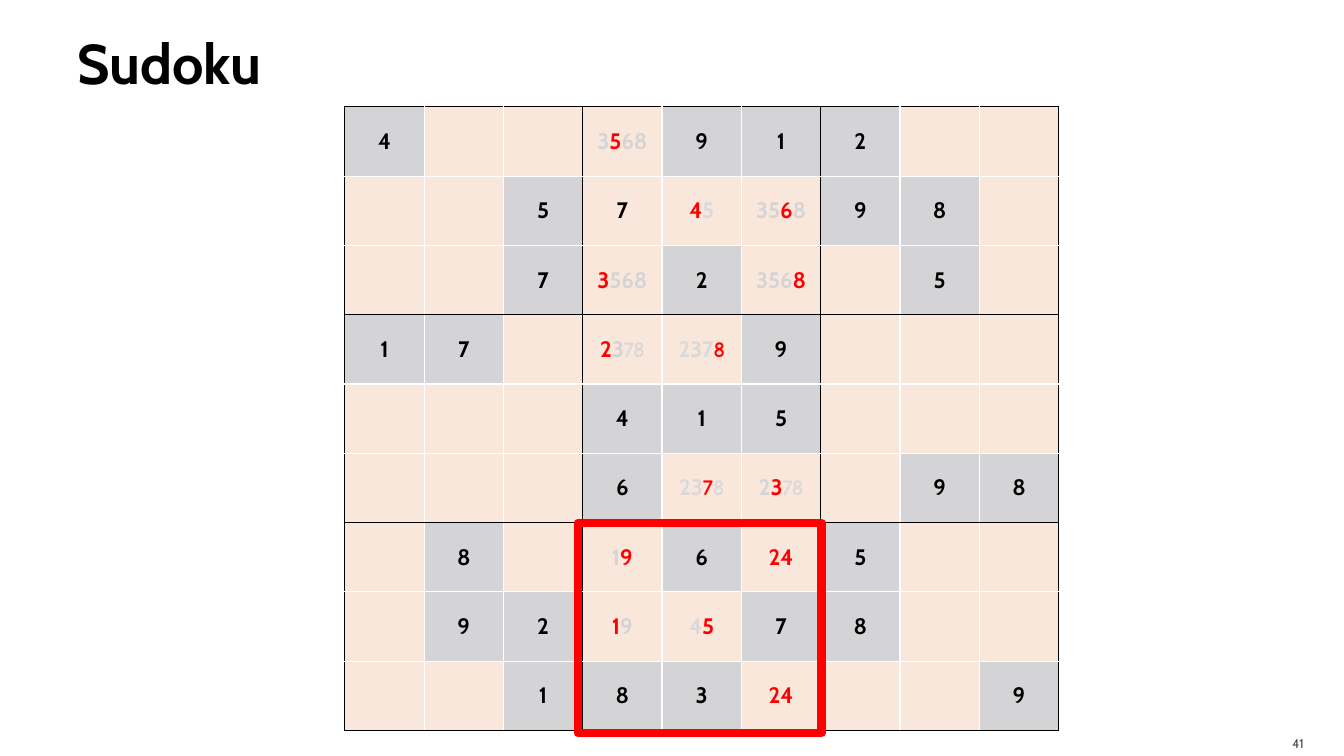
from dataclasses import dataclass
from lxml.etree import SubElement
from pptx import Presentation
from pptx.dml.color import RGBColor
from pptx.enum.shapes import MSO_SHAPE
from pptx.enum.text import MSO_ANCHOR, PP_ALIGN
from pptx.oxml.ns import qn
from pptx.util import Inches, Pt


@dataclass(frozen=True)
class Theme:
    """Hold the colours, fonts and type sizes; digits marked ! are red, ~ pale, = solved, * in the note font."""
    ink: str = "000000"
    white: str = "FFFFFF"
    muted: str = "454545"
    red: str = "FF0000"
    faint: str = "D4D4D6"
    pale: str = "D9D9D9"
    given_fill: str = "D4D4D6"
    open_fill: str = "FAE7DC"
    font: str = "Cabin"
    note_font: str = "Comic Neue"
    title_size: int = 40
    digit_size: int = 16
    number_size: int = 9
    rule_width: int = 1
    frame_width: int = 6


BLOCK = 3
PUZZLE = [
    "4 . . 3|!5|68 9 1 2 . .",
    ". . 5 =7 !4|~5 35|!6|8 9 8 .",
    ". . 7 !3|568 2 356|!8 . 5 .",
    "1 7 . !2|3|*~78 ~237|*!8 9 . . .",
    ". . . 4 1 5 . . .",
    ". . . 6 ~23|*!7|*~8 2|!3|*~78 . 9 8",
    ". 8 . 1|!9 6 !24 5 . .",
    ". 9 2 !1|9 ~4|!5 7 8 . .",
    ". . 1 8 3 !24 . . 9",
]


class SudokuSlide:
    """Draw the elements of one slide in one style."""

    def __init__(self, slide, theme):
        """Keep the slide and its theme."""
        self.slide = slide
        self.theme = theme

    def style(self, font, size, color, bold=False, name=None):
        """Set the look of a font."""
        font.name = name or self.theme.font
        font.size = Pt(size)
        font.bold = bold
        font.color.rgb = RGBColor.from_string(color)

    def text(self, box, words, size, color, bold=False, align=PP_ALIGN.LEFT,
             right_inset=0.1, bottom_inset=0.0):
        """Add one line of text centred vertically in a box."""
        frame = self.slide.shapes.add_textbox(*map(Inches, box)).text_frame
        frame.word_wrap = True
        frame.vertical_anchor = MSO_ANCHOR.MIDDLE
        frame.margin_right = Inches(right_inset)
        frame.margin_bottom = Inches(bottom_inset)
        paragraph = frame.paragraphs[0]
        paragraph.text = words
        paragraph.alignment = align
        self.style(paragraph.font, size, color, bold)

    def borders(self, cell, row, column):
        """Rule a cell in black along block edges and in white elsewhere."""
        block_edges = {
            "L": column % BLOCK == 0,
            "R": column % BLOCK == BLOCK - 1,
            "T": row % BLOCK == 0,
            "B": row % BLOCK == BLOCK - 1,
        }
        properties = cell._tc.get_or_add_tcPr()
        for side, on_edge in block_edges.items():
            line = SubElement(properties, qn(f"a:ln{side}"), w=str(Pt(self.theme.rule_width)))
            fill = SubElement(line, qn("a:solidFill"))
            SubElement(fill, qn("a:srgbClr"), val=self.theme.ink if on_edge else self.theme.white)

    def digits(self, cell, marked):
        """Write the digits of a cell, one run for each marked part."""
        theme = self.theme
        colors = {"!": theme.red, "~": theme.pale, "=": theme.ink}
        plain = theme.ink if marked.isdigit() else theme.faint
        cell.vertical_anchor = MSO_ANCHOR.MIDDLE
        paragraph = cell.text_frame.paragraphs[0]
        paragraph.alignment = PP_ALIGN.CENTER
        for part in marked.split("|"):
            run = paragraph.add_run()
            run.text = part.lstrip("*!~=")
            color = next((colors[mark] for mark in colors if mark in part), plain)
            name = theme.note_font if "*" in part else theme.font
            self.style(run.font, theme.digit_size, color, True, name)

    def grid(self, box, rows):
        """Add the puzzle as a table of equal cells."""
        count = len(rows)
        table = self.slide.shapes.add_table(count, count, *map(Inches, box)).table
        table.first_row = table.horz_banding = False
        for column in table.columns:
            column.width = Inches(box[2] / count)
        for row_index, row in enumerate(rows):
            table.rows[row_index].height = Inches(box[3] / count)
            for column_index, marked in enumerate(row.split()):
                cell = table.cell(row_index, column_index)
                self.borders(cell, row_index, column_index)
                color = self.theme.given_fill if marked.isdigit() else self.theme.open_fill
                cell.fill.solid()
                cell.fill.fore_color.rgb = RGBColor.from_string(color)
                if marked != ".":
                    self.digits(cell, marked)

    def frame(self, box):
        """Add a thick unfilled frame."""
        shape = self.slide.shapes.add_shape(MSO_SHAPE.RECTANGLE, *map(Inches, box))
        shape.shadow.inherit = False
        shape.fill.background()
        shape.line.color.rgb = RGBColor.from_string(self.theme.red)
        shape.line.width = Pt(self.theme.frame_width)


def main():
    """Build and save the presentation."""
    presentation = Presentation()
    presentation.slide_width = Inches(13.33)
    presentation.slide_height = Inches(7.5)
    theme = Theme()
    sudoku = SudokuSlide(presentation.slides.add_slide(presentation.slide_layouts[6]), theme)
    sudoku.text((0.67, 0.08, 12, 1.08), "Sudoku", theme.title_size, theme.ink, True,
                right_inset=0.05, bottom_inset=0.05)
    sudoku.text((11.96, 7.2, 1.07, 0.3), "41", theme.number_size, theme.muted,
                align=PP_ALIGN.RIGHT)
    sudoku.grid((3.42, 1.06, 7.08, 6.19), PUZZLE)
    sudoku.frame((5.73, 5.19, 2.42, 2.08))
    presentation.save("out.pptx")


if __name__ == "__main__":
    main()
